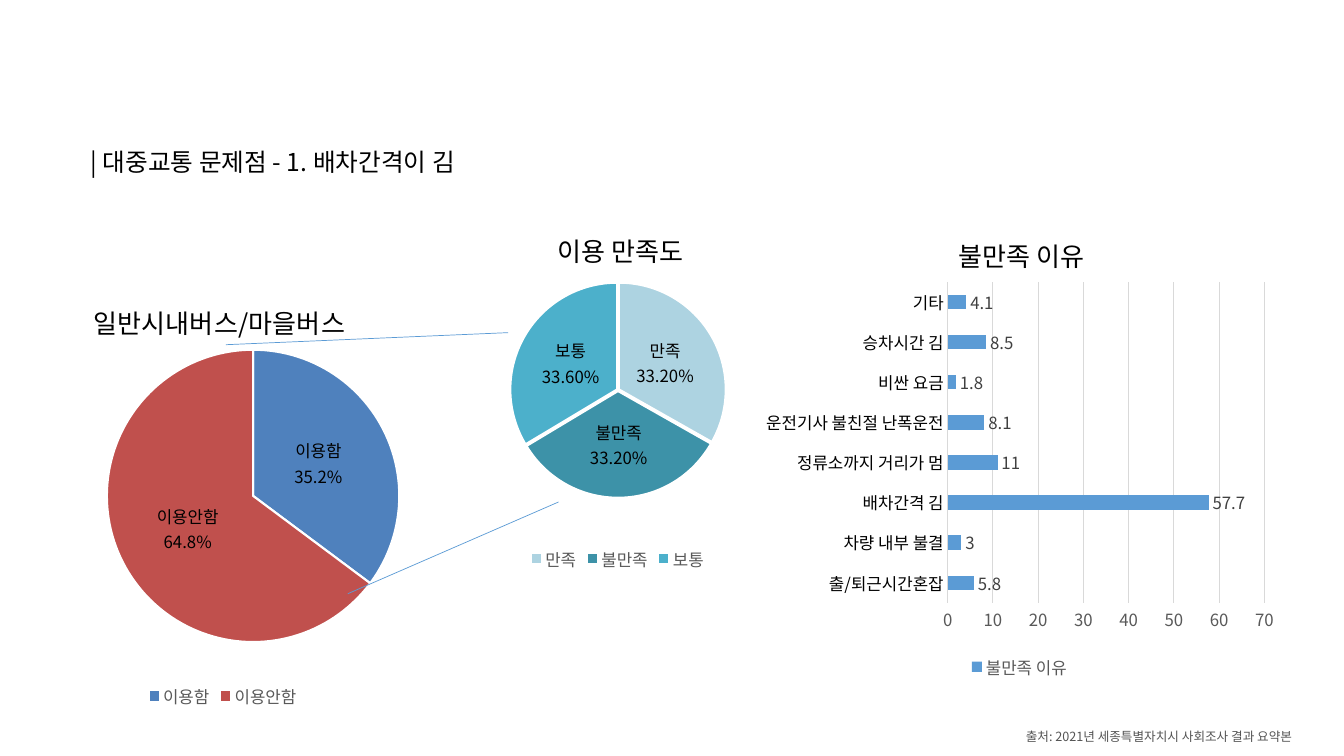
from lxml import etree
from pptx import Presentation
from pptx import util as u
from pptx.chart.data import CategoryChartData
from pptx.dml.color import RGBColor
from pptx.enum import chart as ch, shapes, text
from pptx.oxml import parse_xml
from pptx.oxml.ns import nsdecls, qn

THEME = dict(font="Noto Sans CJK KR", black="000000", label="000000", grey="595959",
             source="545454", accent="5B9BD5", grid="D9D9D9", white="FFFFFF",
             heading=17.6, title=18.6, body=12, small=9)

HEADING = "| 대중교통 문제점 - 1. 배차간격이 김"
SOURCE = "출처: 2021년 세종특별자치시 사회조사 결과 요약본"
PIES = [
    dict(title="일반시내버스/마을버스", at=(-0.55, 2.72, 5.52, 4.35),
         plot=(1.06, 3.47, 2.9, 2.9), title_at=(0.88, 2.93), fmt="0.0%", explode=0,
         data=[("이용함", 0.352, "4F81BD"), ("이용안함", 0.648, "C0504D")]),
    dict(title="이용 만족도", at=(2.84, 2, 6.57, 3.71),
         plot=(5.06, 2.8, 2.14, 2.14), title_at=(5.48, 2.21), fmt="0.00%", explode=1,
         data=[("만족", 0.332, "ADD3E1"), ("불만족", 0.332, "3D92A8"), ("보통", 0.336, "4CB0CB")]),
]
REASONS = dict(
    title="불만족 이유", at=(7.49, 2.03, 5.24, 4.75),
    plot=(9.4, 2.8, 3.14, 3.18), title_at=(9.46, 2.26),
    data=[("출/퇴근시간혼잡", 5.8), ("차량 내부 불결", 3), ("배차간격 김", 57.7),
          ("정류소까지 거리가 멈", 11), ("운전기사 불친절 난폭운전", 8.1),
          ("비싼 요금", 1.8), ("승차시간 김", 8.5), ("기타", 4.1)])
LINKS = [((2.24, 3.42), (5.04, 3.3)), ((3.45, 5.89), (5.54, 4.98))]


def rgb(name):
    return RGBColor.from_string(THEME.get(name, name))


def set_attrs(obj, **fmt):
    for key, value in fmt.items():
        setattr(obj, key, value)


def style_font(font, size, color):
    set_attrs(font, size=u.Pt(THEME[size]), bold=False, name=THEME["font"])
    font.color.rgb = rgb(color)
    etree.SubElement(font._element, qn("a:ea")).set("typeface", THEME["font"])


def layout_xml(at, box, inner=False):
    values = [(box[0] - at[0]) / at[2], (box[1] - at[1]) / at[3]]
    values += [box[i] / at[i] for i in range(2, len(box))]
    target = '<c:layoutTarget val="inner"/>' if inner else ""
    modes = "".join(f'<c:{k}Mode val="edge"/>' for k in "xy")
    sizes = "".join(f'<c:{k} val="{v:.4f}"/>' for k, v in zip("xywh", values))
    return parse_xml(f'<c:layout {nsdecls("c")}><c:manualLayout>{target}{modes}{sizes}'
                     '</c:manualLayout></c:layout>')


def drop_layout(parent):
    for old in parent.findall(qn("c:layout")):
        parent.remove(old)


def add_chart(s, kind, item):
    data = CategoryChartData()
    data.categories = [row[0] for row in item["data"]]
    data.add_series(item["title"], [row[1] for row in item["data"]])
    chart = s.shapes.add_chart(kind, *map(u.Inches, item["at"]), data).chart
    style_font(chart.font, "body", "black")
    space = chart._chartSpace
    space.find(qn("c:chart")).addnext(parse_xml(
        f'<c:spPr {nsdecls("c", "a")}><a:noFill/><a:ln><a:noFill/></a:ln></c:spPr>'))

    chart.has_title = True
    title = chart.chart_title
    r = title.text_frame.paragraphs[0].add_run()
    r.text = item["title"]
    style_font(r.font, "title", "black")
    title.include_in_layout = False
    drop_layout(title._element)
    title._element.find(qn("c:tx")).addnext(layout_xml(item["at"], item["title_at"]))

    plot_area = space.find(qn("c:chart")).find(qn("c:plotArea"))
    drop_layout(plot_area)
    plot_area.insert(0, layout_xml(item["at"], item["plot"], True))

    chart.has_legend = True
    set_attrs(chart.legend, position=ch.XL_LEGEND_POSITION.BOTTOM, include_in_layout=False)
    style_font(chart.legend.font, "body", "grey")
    return chart


def add_pie(s, item):
    plot = add_chart(s, ch.XL_CHART_TYPE.PIE, item).plots[0]
    plot.vary_by_categories = True
    series = plot.series[0]
    for i, row in enumerate(item["data"]):
        fmt = series.points[i].format
        fmt.fill.solid()
        fmt.fill.fore_color.rgb = rgb(row[2])
        fmt.line.color.rgb = rgb("white")
        fmt.line.width = u.Pt(1.5)
    if item["explode"]:
        series._element.find(qn("c:dPt")).addprevious(
            parse_xml(f'<c:explosion {nsdecls("c")} val="{item["explode"]}"/>'))
    labels = series.data_labels
    set_attrs(labels, show_value=True, show_category_name=True, number_format=item["fmt"],
              number_format_is_linked=False, position=ch.XL_LABEL_POSITION.CENTER)
    style_font(labels.font, "body", "label")
    separator = parse_xml(f'<c:separator {nsdecls("c")}>\n</c:separator>')
    labels._element.find(qn("c:showBubbleSize")).addnext(separator)


def add_bars(s, item):
    chart = add_chart(s, ch.XL_CHART_TYPE.BAR_CLUSTERED, item)
    plot = chart.plots[0]
    set_attrs(plot, gap_width=182, vary_by_categories=False)
    series = plot.series[0]
    series.format.fill.solid()
    series.format.fill.fore_color.rgb = rgb("accent")
    set_attrs(series.data_labels, show_value=True, position=ch.XL_LABEL_POSITION.OUTSIDE_END)
    style_font(series.data_labels.font, "body", "404040")
    for axis, color in ((chart.category_axis, "black"), (chart.value_axis, "grey")):
        set_attrs(axis, major_tick_mark=ch.XL_TICK_MARK.NONE, minor_tick_mark=ch.XL_TICK_MARK.NONE)
        style_font(axis.tick_labels.font, "body", color)
    set_attrs(chart.value_axis, minimum_scale=0, maximum_scale=70, major_unit=10,
              has_major_gridlines=True)
    chart.value_axis.format.line.fill.background()
    for part in (chart.category_axis, chart.value_axis.major_gridlines):
        part.format.line.color.rgb = rgb("grid")
        part.format.line.width = u.Pt(0.75)


def add_link(s, start, end):
    line = s.shapes.add_connector(shapes.MSO_CONNECTOR.STRAIGHT, *map(u.Inches, start + end))
    line.line.color.rgb = rgb("accent")
    line.line.width = u.Pt(0.5)
    etree.SubElement(line._element.spPr, qn("a:effectLst"))


def add_text(s, at, words, size, color, anchor, **para):
    tf = s.shapes.add_textbox(*map(u.Inches, at)).text_frame
    set_attrs(tf, word_wrap=True, vertical_anchor=anchor)
    p = tf.paragraphs[0]
    set_attrs(p, **para)
    r = p.add_run()
    r.text = words
    style_font(r.font, size, color)


def main():
    prs = Presentation()
    set_attrs(prs, slide_width=u.Inches(13.33), slide_height=u.Inches(7.5))
    s = prs.slides.add_slide(prs.slide_layouts[6])
    add_pie(s, PIES[0])
    for start, end in LINKS:
        add_link(s, start, end)
    add_pie(s, PIES[1])
    add_bars(s, REASONS)
    add_text(s, (8.38, 7.18, 4.53, 0.25), SOURCE, "small", "source",
             text.MSO_ANCHOR.TOP, alignment=text.PP_ALIGN.RIGHT)
    add_text(s, (0.8, 1.24, 10.91, 0.76), HEADING, "heading", "black",
             text.MSO_ANCHOR.MIDDLE, line_spacing=0.9)
    prs.save("out.pptx")


if __name__ == "__main__":
    main()
